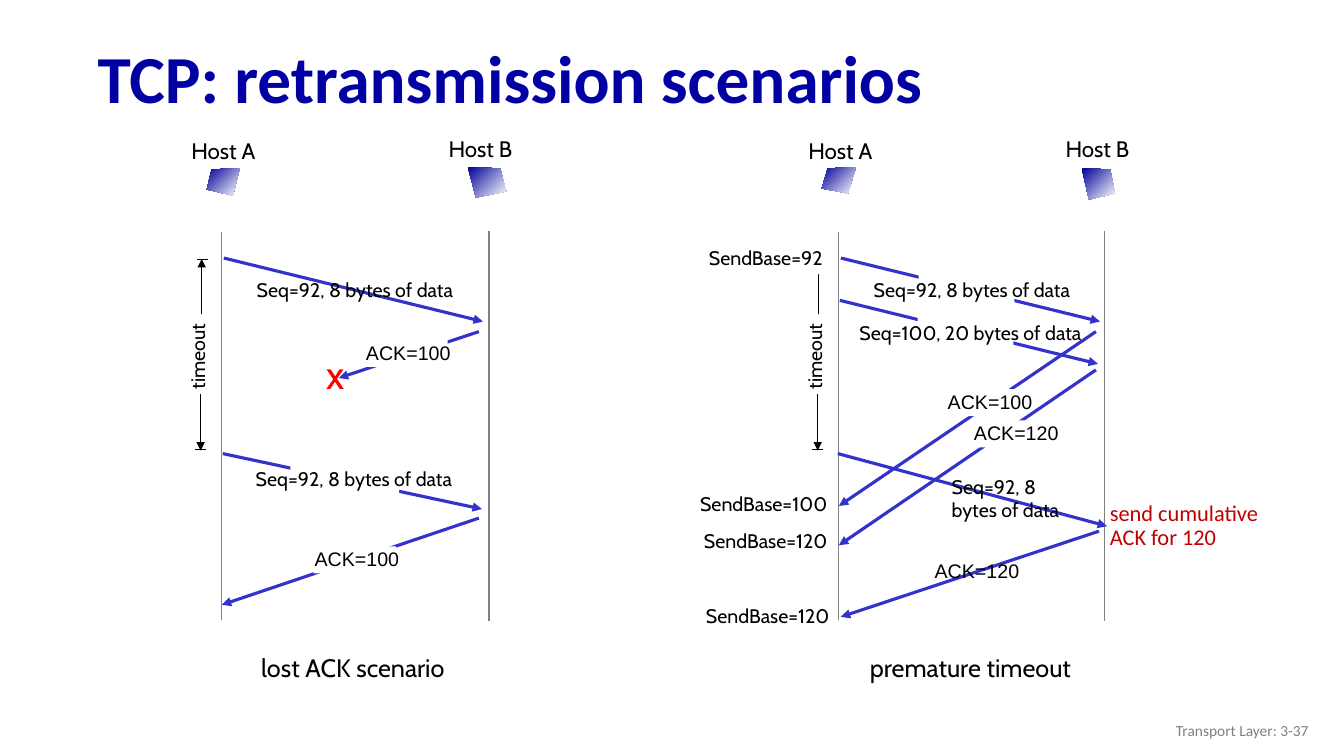
from dataclasses import dataclass
from typing import Optional

from pptx import Presentation
from pptx.dml.color import RGBColor
from pptx.enum.shapes import MSO_CONNECTOR, MSO_SHAPE
from pptx.enum.text import MSO_ANCHOR, MSO_AUTO_SIZE, PP_ALIGN
from pptx.oxml.ns import qn
from pptx.util import Inches, Pt
from lxml.etree import SubElement

NAVY = RGBColor(0x00, 0x00, 0xA3)
DEEP_BLUE = RGBColor(0x00, 0x00, 0x99)
BLUE = RGBColor(0x33, 0x33, 0xCC)
BLACK = RGBColor(0, 0, 0)
GRAY = RGBColor(0x80, 0x80, 0x80)
RED = RGBColor(0xFF, 0, 0)
DARK_RED = RGBColor(0xC0, 0, 0)
WHITE = RGBColor(0xFF, 0xFF, 0xFF)

Point = tuple[float, float]
Box = tuple[float, float, float, float]


@dataclass
class Label:
    text: str
    box: Box
    size: float = 14
    font: str = "Cabin"
    color: RGBColor = BLACK
    bold: bool = False
    align: PP_ALIGN = PP_ALIGN.CENTER
    anchor: MSO_ANCHOR = MSO_ANCHOR.TOP
    wrap: bool = False
    spacing: Optional[float] = None
    vert: Optional[str] = None


@dataclass
class Message:
    start: Point
    end: Point
    label: Label
    mask: Optional[Box] = None  # white patch that breaks the arrow


@dataclass
class Scenario:
    host_a: float
    host_b: float
    labels_dx: float
    caption: Label
    top_tick: bool
    icons: list[list[Point]]
    messages: list[Message]


def seq(text: str, x: float, y: float, w: float = 2.28) -> Label:
    return Label(text, (x, y, w, 0.33))


def ack(number: int, x: float, y: float) -> Label:
    return Label(f"ACK={number}", (x, y, 1.04, 0.33), font="Arial")


def ack_message(start: Point, end: Point, number: int, x: float, y: float,
                masked: bool = True) -> Message:
    mask = (x + 0.09, y + 0.04, 0.82, 0.27) if masked else None
    return Message(start, end, ack(number, x, y), mask)


def add_label(slide, label: Label) -> None:
    tb = slide.shapes.add_textbox(*map(Inches, label.box))
    tf = tb.text_frame
    tf.word_wrap = label.wrap
    tf.vertical_anchor = label.anchor
    tf.auto_size = MSO_AUTO_SIZE.NONE if label.wrap else MSO_AUTO_SIZE.SHAPE_TO_FIT_TEXT
    if label.vert:
        tf._txBody.bodyPr.set("vert", label.vert)
    tf.text = label.text
    for p in tf.paragraphs:
        p.alignment = label.align
        p.line_spacing = label.spacing
        p.font.name = label.font
        p.font.size = Pt(label.size)
        p.font.bold = label.bold
        p.font.color.rgb = label.color


def add_line(slide, start: Point, end: Point, color: RGBColor = BLACK,
             width: float = 0.75, arrow: bool = False) -> None:
    line = slide.shapes.add_connector(MSO_CONNECTOR.STRAIGHT, *map(Inches, start + end))
    line.line.color.rgb = color
    line.line.width = Pt(width)
    if arrow:
        SubElement(line.line._get_or_add_ln(), qn("a:tailEnd"), type="triangle")
    SubElement(line._element.spPr, qn("a:effectLst"))


def add_mask(slide, box: Box) -> None:
    sp = slide.shapes.add_shape(MSO_SHAPE.RECTANGLE, *map(Inches, box))
    sp.shadow.inherit = False
    sp.fill.solid()
    sp.fill.fore_color.rgb = WHITE
    sp.line.fill.background()


def add_icon(slide, points: list[Point]) -> None:
    corners = [(Inches(x), Inches(y)) for x, y in points]
    builder = slide.shapes.build_freeform(*corners[0], scale=1.0)
    builder.add_line_segments(corners[1:], close=True)
    sp = builder.convert_to_shape()
    sp.shadow.inherit = False
    sp.fill.gradient()
    sp.fill.gradient_angle = 315
    for stop, color, position in zip(sp.fill.gradient_stops, (DEEP_BLUE, WHITE), (0, 1)):
        stop.color.rgb = color
        stop.position = position
    sp.line.fill.background()


def add_message(slide, msg: Message) -> None:
    add_line(slide, msg.start, msg.end, BLUE, 2.25, arrow=True)
    if msg.mask:
        add_mask(slide, msg.mask)
    add_label(slide, msg.label)


def add_timeout(slide, dx: float, top_tick: bool) -> None:
    add_label(slide, Label("timeout", (1.79 + dx, 3.16, 0.43, 0.75), vert="vert270"))
    add_line(slide, (2 + dx, 3.12), (2 + dx, 2.57), arrow=True)
    add_line(slide, (1.99 + dx, 3.91), (1.99 + dx, 4.47), arrow=True)
    add_line(slide, (1.93 + dx, 4.46), (2.04 + dx, 4.46))
    if top_tick:
        add_line(slide, (1.95 + dx, 2.57), (2.06 + dx, 2.57))


def add_scenario(slide, sc: Scenario) -> None:
    dx = sc.labels_dx
    add_label(slide, sc.caption)
    add_label(slide, Label("Host A", (1.79 + dx, 1.31, 0.85, 0.37), 16))
    add_label(slide, Label("Host B", (4.34 + dx, 1.29, 0.85, 0.37), 16))
    add_line(slide, (sc.host_a, 2.3), (sc.host_a, 6.15), GRAY)
    add_line(slide, (sc.host_b, 2.29), (sc.host_b, 6.16), GRAY)
    add_timeout(slide, dx, sc.top_tick)
    for msg in sc.messages:
        add_message(slide, msg)
    for icon in sc.icons:
        add_icon(slide, icon)


DATA_92 = "Seq=92, 8 bytes of data"

LOST_ACK = Scenario(
    2.2, 4.85, 0, Label("lost ACK scenario", (2.45, 6.42, 2.1, 0.4), 18), True,
    [[(2.38, 1.67), (2.1, 1.68), (2.05, 1.88), (2.31, 1.94)],
     [(4.64, 1.66), (4.96, 1.67), (5.02, 1.9), (4.72, 1.96)]],
    [Message((2.22, 2.56), (4.79, 3.19), seq(DATA_92, 2.38, 2.71)),
     Message((2.21, 4.5), (4.78, 5.05), seq(DATA_92, 2.37, 4.58), (2.88, 4.49, 1.08, 0.47)),
     ack_message((4.75, 3.29), (3.36, 3.75), 100, 3.53, 3.33),
     ack_message((4.75, 5.14), (2.2, 6), 100, 3.02, 5.38)])

PREMATURE = Scenario(
    8.32, 10.95, 6.12, Label("premature timeout", (8.49, 6.42, 2.27, 0.4), 18), False,
    [[(8.49, 1.66), (8.21, 1.67), (8.15, 1.87), (8.41, 1.92)],
     [(10.73, 1.67), (11.01, 1.68), (11.06, 1.92), (10.8, 1.98)]],
    [Message((8.31, 4.5), (10.98, 5.22),
             Label("Seq=92, 8\nbytes of data", (9.34, 4.66, 1.33, 0.57), align=PP_ALIGN.LEFT)),
     ack_message((10.9, 5.27), (8.34, 6.12), 120, 9.17, 5.5, masked=False),
     ack_message((10.87, 3.29), (8.32, 5.02), 100, 9.3, 3.82),
     ack_message((10.87, 3.67), (8.32, 5.41), 120, 9.56, 4.13),
     Message((8.34, 2.56), (10.91, 3.19), seq(DATA_92, 8.5, 2.71), (9.11, 2.65, 0.95, 0.44)),
     Message((8.33, 2.98), (10.89, 3.61), seq("Seq=100, 20 bytes of data", 8.38, 3.13, 2.49),
             (9.1, 3.07, 0.95, 0.44))])

SEND_BASES = [(100, 6.83, 4.83), (120, 6.85, 5.2), (120, 6.87, 5.94)]


def main() -> None:
    prs = Presentation()
    prs.slide_width, prs.slide_height = Inches(13.33), Inches(7.5)
    slide = prs.slides.add_slide(prs.slide_layouts[6])

    # Title
    add_label(slide, Label("TCP: retransmission scenarios", (0.87, 0.32, 12.46, 0.98), 48,
                           "Calibri", NAVY, True, PP_ALIGN.LEFT, MSO_ANCHOR.MIDDLE, True, 0.9))

    # Scenarios
    for scenario in (LOST_ACK, PREMATURE):
        add_scenario(slide, scenario)
    add_label(slide, Label("X", (3.13, 3.54, 0.39, 0.43), 20, color=RED, bold=True))

    # Sender state and receiver remark
    add_mask(slide, (6.9, 2.39, 1.39, 0.33))
    add_label(slide, Label("SendBase=92", (6.9, 2.39, 1.39, 0.33)))
    for base, x, y in SEND_BASES:
        add_label(slide, Label(f"SendBase={base}", (x, y, 1.49, 0.33)))
    add_label(slide, Label("send cumulative\nACK for 120", (10.91, 4.93, 1.74, 0.59), 16,
                           "Calibri", DARK_RED, align=PP_ALIGN.LEFT, spacing=0.9))

    # Footer
    add_label(slide, Label("Transport Layer: 3-37", (10.08, 7.05, 3, 0.4), 11, "Calibri", GRAY,
                           align=PP_ALIGN.RIGHT, anchor=MSO_ANCHOR.MIDDLE, wrap=True))
    prs.save("out.pptx")


if __name__ == "__main__":
    main()
